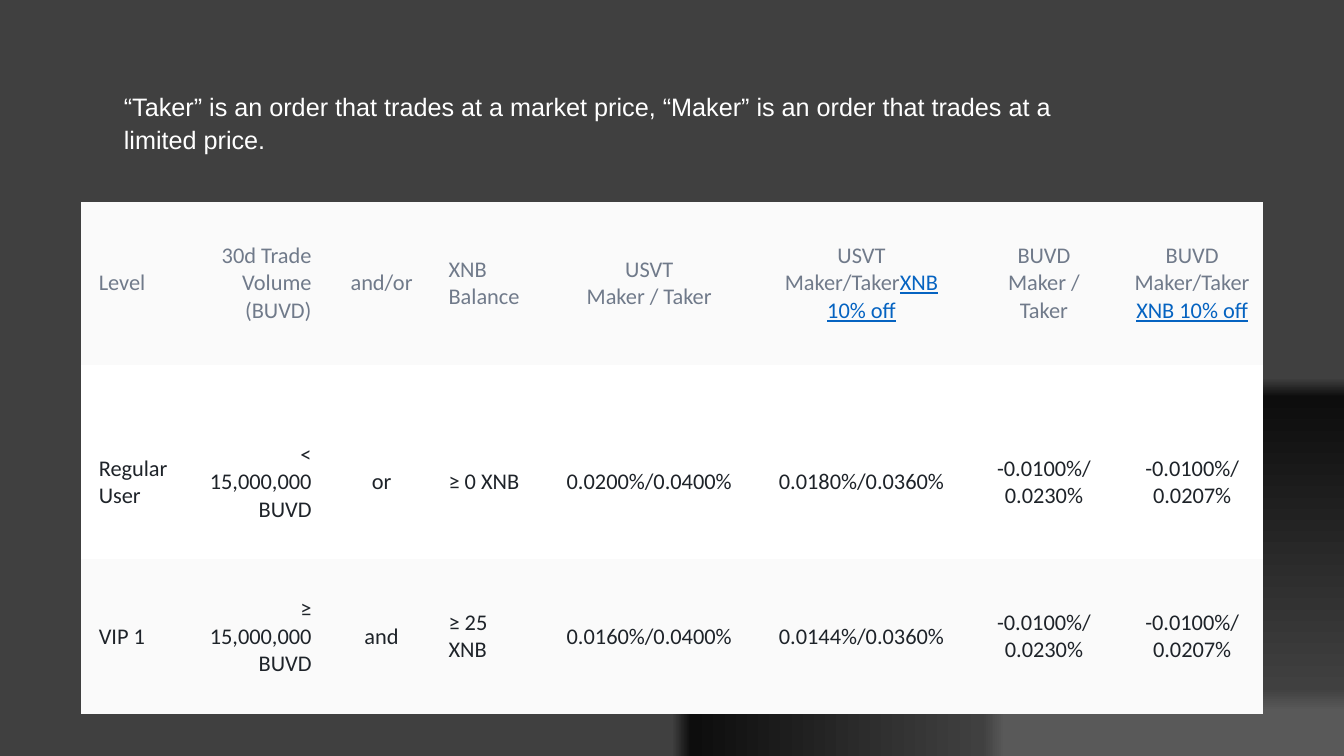
import pptx
import pptx.util
import pptx.oxml
import pptx.dml.color
import pptx.enum.text
from dataclasses import dataclass

Inches = pptx.util.Inches
Align = pptx.enum.text.PP_ALIGN
Anchor = pptx.enum.text.MSO_ANCHOR


@dataclass(frozen=True)
class Theme:
    white: str = "FFFFFF"
    pale: str = "FAFAFA"
    head: str = "707A8A"
    ink: str = "1E2329"
    link: str = "0563C1"
    stops: tuple = ((0, "595959"), (12, "595959"), (18, "404040"),
                    (95, "0D0D0D"), (100, "404040"))
    note: int = 18
    cell: int = 16
    plain: str = "{2D5ABB26-0587-4C30-8999-92F81FD0307C}"


def write(frame, text, *, size, font, color, link=None, align=Align.LEFT,
          space=None, after=None):
    """Each line is a paragraph; text after a bar is set as a link."""
    for i, line in enumerate(text.split("\n")):
        para = frame.paragraphs[0] if i == 0 else frame.add_paragraph()
        para.alignment = align
        para.line_spacing = space
        if after is not None:
            para.space_after = pptx.util.Pt(after)
        for j, part in enumerate(line.split("|")):
            run = para.add_run()
            run.text = part
            run.font.size = pptx.util.Pt(size)
            run.font.name = font
            tone = link if j else color
            run.font.color.rgb = pptx.dml.color.RGBColor.from_string(tone)
            if j:
                run.font.underline = True


class Deck:
    def __init__(self, theme):
        self.theme = theme
        self.file = pptx.Presentation()
        self.file.slide_width = Inches(13.33)
        self.file.slide_height = Inches(7.5)
        self.slide = self.file.slides.add_slide(self.file.slide_layouts[6])

    def ground(self):
        stops = "".join(
            f'<a:gs pos="{pos * 1000}"><a:srgbClr val="{tone}"/></a:gs>'
            for pos, tone in self.theme.stops)
        space = pptx.oxml.ns.nsdecls("p", "a")
        back = pptx.oxml.parse_xml(
            f'<p:bg {space}><p:bgPr><a:gradFill rotWithShape="1">'
            f'<a:gsLst>{stops}</a:gsLst><a:path path="rect">'
            '<a:fillToRect l="100000" t="100000"/></a:path></a:gradFill>'
            '<a:effectLst/></p:bgPr></p:bg>')
        self.slide.element.cSld.insert(0, back)

    def note(self, text, box):
        frame = self.slide.shapes.add_textbox(*map(Inches, box)).text_frame
        frame.word_wrap = True
        write(frame, text, size=self.theme.note, font="Arial",
              color=self.theme.white, space=1.07, after=8)

    def grid(self, rows, box, wide, tall, fills, sides):
        look = self.theme
        table = self.slide.shapes.add_table(
            len(tall), len(wide), *map(Inches, box)).table
        table.first_row = table.horz_banding = False
        table._tbl.tblPr.find(pptx.oxml.ns.qn("a:tableStyleId")).text = look.plain
        for col, size in zip(table.columns, wide):
            col.width = Inches(size)
        for r, (row, size) in enumerate(zip(table.rows, tall)):
            row.height = Inches(size)
            for c, cell in enumerate(row.cells):
                cell.fill.solid()
                cell.fill.fore_color.rgb = pptx.dml.color.RGBColor.from_string(fills[r])
                if not rows[r]:
                    continue
                cell.vertical_anchor = Anchor.MIDDLE
                cell.margin_left = Inches(0.18)
                cell.margin_right = Inches(0.09 if c == 2 else 0.12)
                cell.margin_top = cell.margin_bottom = Inches(0.18 if r else 0.09)
                write(cell.text_frame, rows[r][c], size=look.cell, font="Calibri",
                      color=look.ink if r else look.head, link=look.link,
                      align=sides[c])


def main():
    look = Theme()
    deck = Deck(look)
    deck.ground()

    # Opening note
    deck.note("“Taker” is an order that trades at a market price, “Maker” is "
              "an order that trades at a limited price.", (1.13, 0.84, 9.95, 0.73))

    # Fee table, with an empty spacer row under the head
    rows = [
        ["Level", "30d Trade Volume (BUVD)", "and/or", "XNB Balance",
         "USVT\nMaker / Taker", "USVT Maker/Taker|XNB 10% off",
         "BUVD\nMaker / Taker", "BUVD Maker/Taker|XNB 10% off"],
        [],
        ["Regular User", "< 15,000,000 BUVD", "or", "≥ 0 XNB",
         "0.0200%/0.0400%", "0.0180%/0.0360%",
         "-0.0100%/0.0230%", "-0.0100%/0.0207%"],
        ["VIP 1", "≥ 15,000,000 BUVD", "and", "≥ 25 XNB",
         "0.0160%/0.0400%", "0.0144%/0.0360%",
         "-0.0100%/0.0230%", "-0.0100%/0.0207%"],
    ]
    deck.grid(rows, (0.8, 2, 11.72, 5.06),
              wide=(1.02, 1.39, 1.06, 1.11, 2.06, 2.15, 1.47, 1.47),
              tall=(1.62, 0.38, 1.53, 1.53),
              fills=(look.pale, look.white, look.white, look.pale),
              sides=[Align.LEFT, Align.RIGHT, Align.CENTER, Align.LEFT]
              + [Align.CENTER] * 4)

    deck.file.save("out.pptx")


if __name__ == "__main__":
    main()
